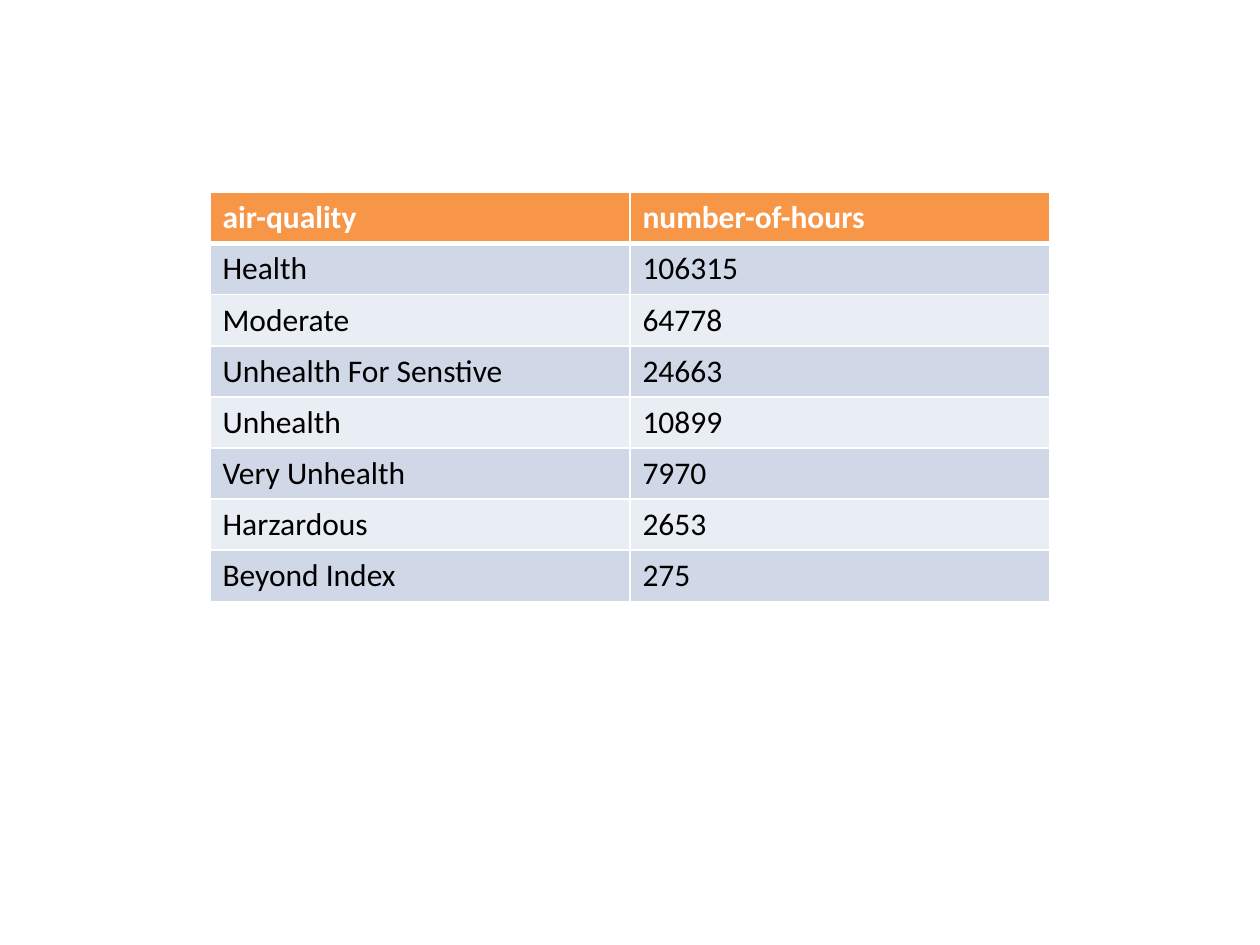
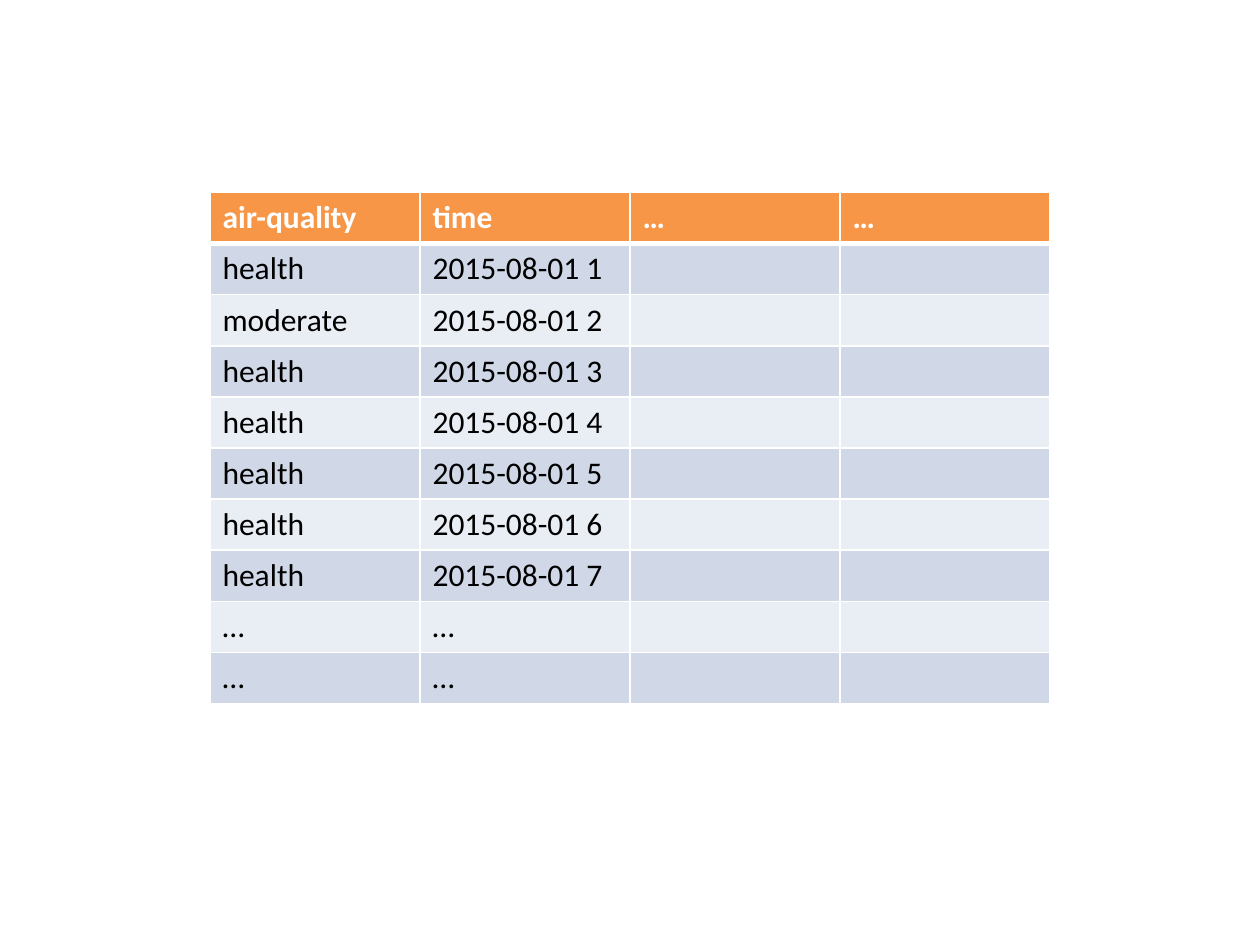
from dataclasses import dataclass

from lxml.etree import SubElement
from pptx import Presentation
from pptx.dml.color import RGBColor
from pptx.oxml.ns import qn
from pptx.util import Pt


@dataclass(frozen=True)
class Theme:
    font: str = "Calibri"
    text_size: int = 18
    header_fill: str = "F79646"
    header_text: str = "FFFFFF"
    body_text: str = "000000"
    band_fills: tuple = ("D0D8E8", "E9EDF4")
    border: str = "FFFFFF"
    thin_border: int = 1
    header_border: int = 3


THEME = Theme()
TABLE_LEFT, TABLE_TOP, TABLE_WIDTH = 120, 110, 480
ROW_HEIGHT = 29.2

HOURS_BY_QUALITY = [
    ("air-quality", "number-of-hours"),
    ("Health", "106315"),
    ("Moderate", "64778"),
    ("Unhealth For Senstive", "24663"),
    ("Unhealth", "10899"),
    ("Very Unhealth", "7970"),
    ("Harzardous", "2653"),
    ("Beyond Index", "275"),
]

HOURLY_QUALITY = ["health", "moderate"] + ["health"] * 5
HOURLY_READINGS = [
    ("air-quality", "time", "…", "…"),
    *[
        (quality, f"2015-08-01 {hour}", "", "")
        for hour, quality in enumerate(HOURLY_QUALITY, 1)
    ],
    *[("…", "…", "", "")] * 2,
]


def add_borders(cell, top, bottom):
    properties = cell._tc.get_or_add_tcPr()
    thin = THEME.thin_border
    for side, width in (("L", thin), ("R", thin), ("T", top), ("B", bottom)):
        line = SubElement(properties, qn(f"a:ln{side}"), w=str(Pt(width)))
        fill = SubElement(line, qn("a:solidFill"))
        SubElement(fill, qn("a:srgbClr"), val=THEME.border)


def style_cell(cell, text, row_index):
    is_header = row_index == 0
    add_borders(
        cell,
        top=THEME.header_border if row_index == 1 else THEME.thin_border,
        bottom=THEME.header_border if is_header else THEME.thin_border,
    )
    fill = THEME.header_fill if is_header else THEME.band_fills[(row_index - 1) % 2]
    cell.fill.solid()
    cell.fill.fore_color.rgb = RGBColor.from_string(fill)

    cell.text = text
    font = cell.text_frame.paragraphs[0].font
    font.name = THEME.font
    font.size = Pt(THEME.text_size)
    font.bold = is_header
    color = THEME.header_text if is_header else THEME.body_text
    font.color.rgb = RGBColor.from_string(color)


def add_data_table(page, rows):
    table = page.shapes.add_table(
        len(rows), len(rows[0]),
        Pt(TABLE_LEFT), Pt(TABLE_TOP),
        Pt(TABLE_WIDTH), Pt(ROW_HEIGHT * len(rows)),
    ).table
    for row_index, texts in enumerate(rows):
        for column_index, text in enumerate(texts):
            style_cell(table.cell(row_index, column_index), text, row_index)


def main():
    deck = Presentation()
    deck.slide_width, deck.slide_height = Pt(720), Pt(540)
    for rows in (HOURS_BY_QUALITY, HOURLY_READINGS):
        page = deck.slides.add_slide(deck.slide_layouts[6])
        add_data_table(page, rows)
    deck.save("out.pptx")


if __name__ == "__main__":
    main()
